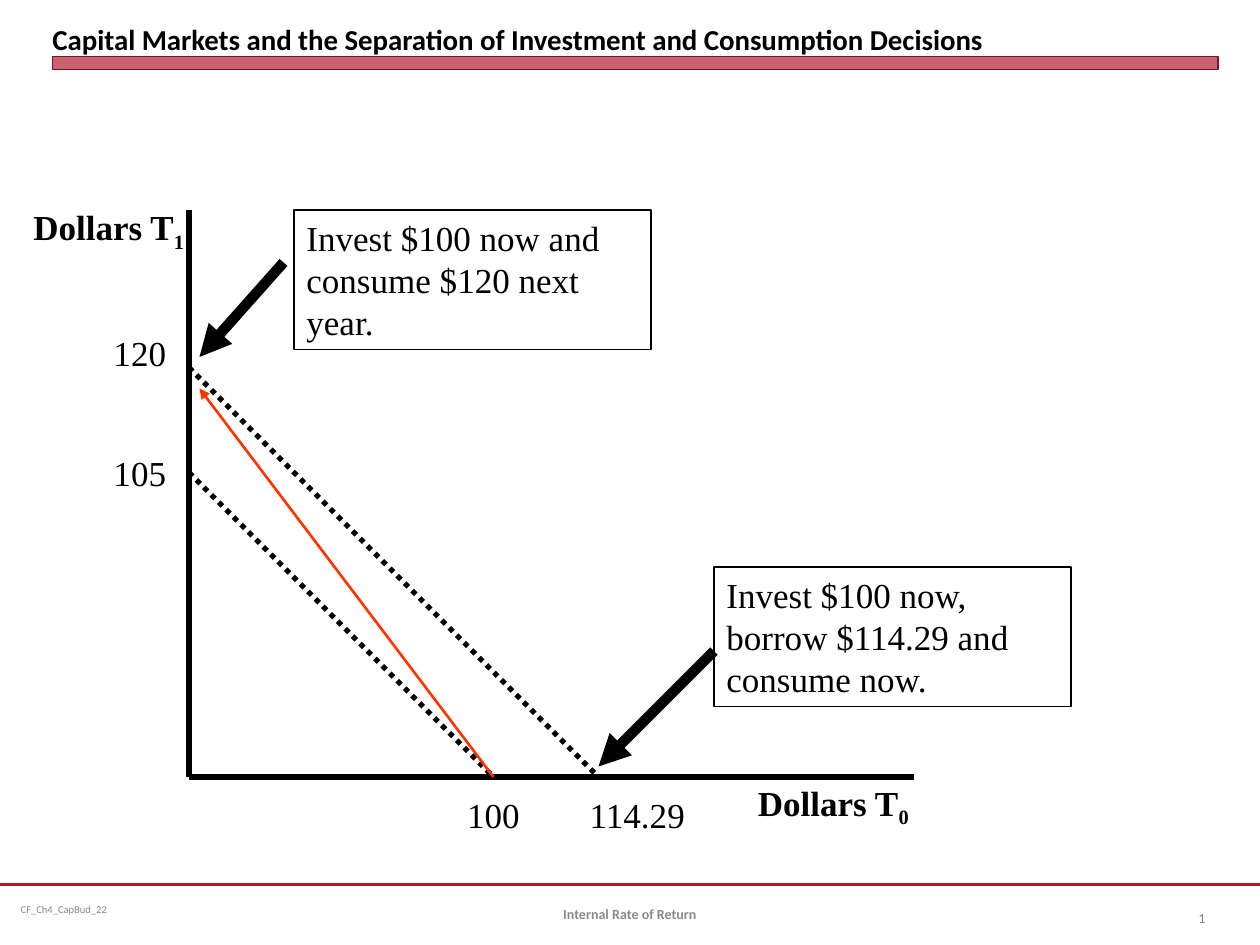
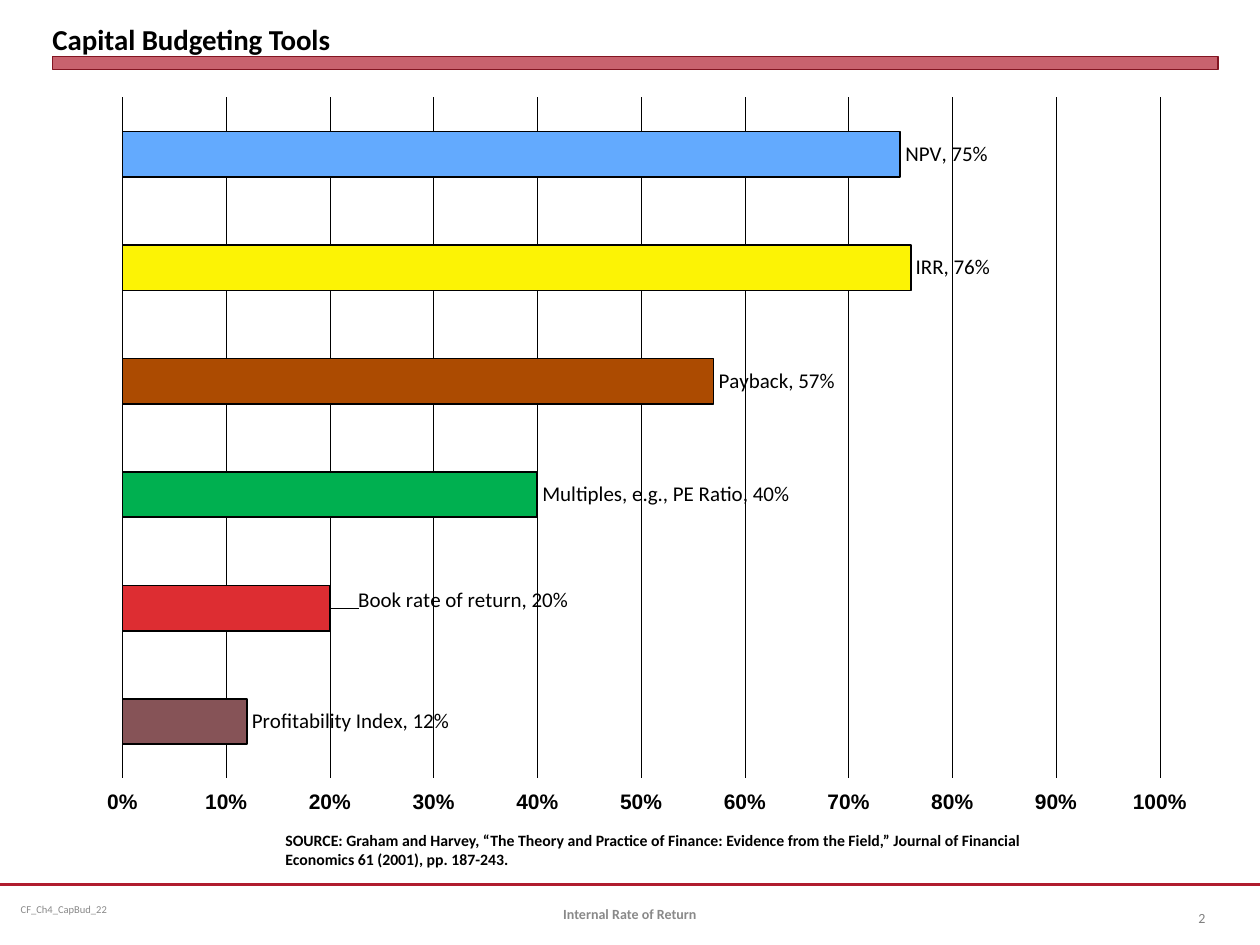
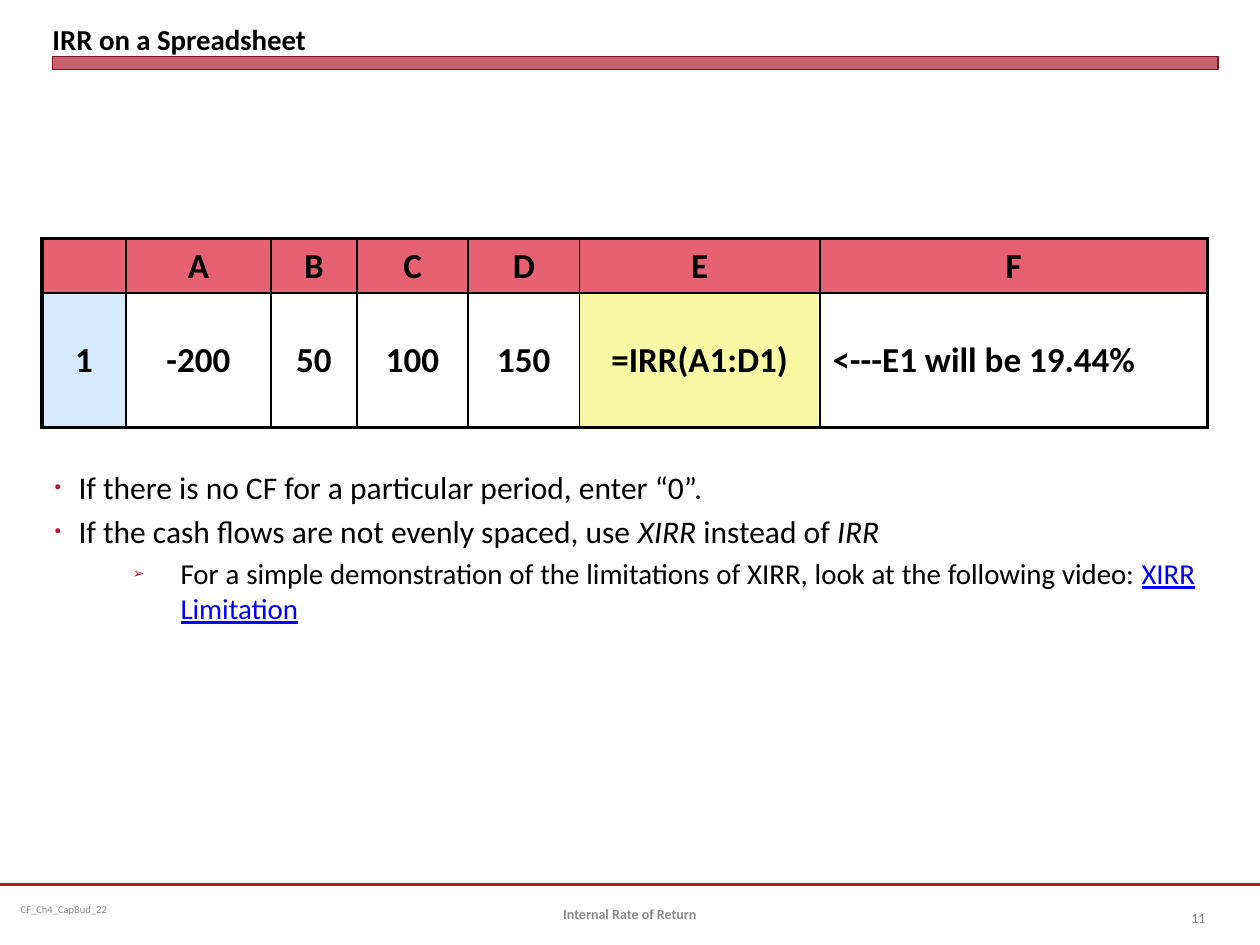
from pptx import Presentation
from pptx import util as u
from pptx.chart import data as cdata
from pptx.dml import color
from pptx.enum import chart as ch, dml, shapes, text
from pptx.oxml import ns, parse_xml

# Grid: 120 columns by 90 rows, twelve to the inch
UNIT = 12
BLACK, WINE, GREY = "000000", "B01C2E", "898989"
SANS, SERIF = "Calibri", "Times New Roman"
LEFT, MID, RIGHT, FULL = (text.PP_ALIGN.LEFT, text.PP_ALIGN.CENTER,
                          text.PP_ALIGN.RIGHT, text.PP_ALIGN.JUSTIFY)
TOP, CENTER, BASE = (text.MSO_ANCHOR.TOP, text.MSO_ANCHOR.MIDDLE,
                     text.MSO_ANCHOR.BOTTOM)


def hue(code):
    return color.RGBColor.from_string(code)


def grid(*vals):
    return [u.Inches(v / UNIT) for v in vals]


def node(tag, attrs="", inner=""):
    """Build one XML element; the prefix is part of the tag."""
    decl = ns.nsdecls("a", "c")
    return parse_xml(f"<{tag} {decl} {attrs}>{inner}</{tag}>")


def place(x, y, w=None, h=None, inner=False):
    """Build a manual chart layout."""
    parts = '<c:layoutTarget val="inner"/>' if inner else ""
    if inner:
        parts += '<c:xMode val="edge"/><c:yMode val="edge"/>'
    for key, val in zip("xywh", (x, y, w, h)):
        if val is not None:
            parts += f'<c:{key} val="{val}"/>'
    return node("c:layout", inner=f"<c:manualLayout>{parts}</c:manualLayout>")


class Deck:
    def __init__(self):
        self.prs = Presentation()
        self.prs.slide_width, self.prs.slide_height = grid(120, 90)
        self.slide = None

    # Text
    def style(self, font, fmt):
        base = dict(name=SANS, size=20, bold=False, italic=False, hue=BLACK)
        for key, val in (base | fmt).items():
            if key == "hue":
                font.color.rgb = hue(val)
            else:
                setattr(font, key, u.Pt(val) if key == "size" else val)

    def say(self, para, runs, fmt, align=LEFT):
        para.alignment = align
        for item in [runs] if isinstance(runs, str) else runs:
            words, extra = (item, {}) if isinstance(item, str) else item
            extra = dict(extra)
            drop = extra.pop("drop", None)
            run = para.add_run()
            run.text = words
            self.style(run.font, fmt | extra)
            if drop:
                run._r.get_or_add_rPr().set("baseline", str(-drop * 1000))

    def frame(self, shape, anchor=TOP, pad=None):
        box = shape.text_frame
        box.word_wrap = True
        box.vertical_anchor = anchor
        if pad is not None:
            for side in ("left", "top", "right", "bottom"):
                setattr(box, f"margin_{side}", u.Inches(pad))
        return box

    def label(self, at, runs, align=LEFT, anchor=TOP, **fmt):
        shape = self.slide.shapes.add_textbox(*grid(*at))
        box = self.frame(shape, anchor)
        self.say(box.paragraphs[0], runs, fmt, align)

    # Shapes
    def rect(self, at, edge, width, fill=None, alpha=None):
        kind = shapes.MSO_SHAPE.RECTANGLE
        shape = self.slide.shapes.add_shape(kind, *grid(*at))
        shape.shadow.inherit = False
        shape.line.color.rgb = hue(edge)
        shape.line.width = u.Pt(width)
        if fill:
            shape.fill.solid()
            shape.fill.fore_color.rgb = hue(fill)
            tint = shape._element.spPr.xpath("a:solidFill/a:srgbClr")[0]
            tint.append(node("a:alpha", f'val="{alpha * 1000}"'))
        else:
            shape.fill.background()
        return shape

    def note(self, at, words):
        box = self.frame(self.rect(at, BLACK, 0.75))
        self.say(box.paragraphs[0], words, dict(name=SERIF))

    def line(self, start, end, width=3, ink=BLACK, dots=False, arrow=False):
        kind = shapes.MSO_CONNECTOR.STRAIGHT
        link = self.slide.shapes.add_connector(kind, *grid(*start, *end))
        link.line.color.rgb = hue(ink)
        link.line.width = u.Pt(width)
        if dots:
            link.line.dash_style = dml.MSO_LINE.ROUND_DOT
        if arrow:
            link.line._get_or_add_ln().append(
                node("a:tailEnd", 'type="triangle"'))
        link._element.spPr.append(node("a:effectLst"))

    # Page with title, band and footer
    def page(self, title, num, body=False):
        layout = self.prs.slide_layouts[1 if body else 5]
        self.slide = self.prs.slides.add_slide(layout)
        head = self.slide.shapes.title
        self.move(head, (5, 0.6, 111, 4.8))
        box = self.frame(head, BASE, 0)
        self.say(box.paragraphs[0], title, dict(size=16.5, bold=True))
        band = self.rect((5, 5.4, 111, 1.2), "821522", 0, WINE, 69)
        self.slide.shapes._spTree.insert(2, band._element)
        self.line((0, 84.25), (120, 84.25), 1.25, WINE)
        self.label((0.8, 84.25, 31, 4.8), "CF_Ch4_CapBud_22",
                   anchor=CENTER, size=6, hue=GREY)
        self.label((41, 84.6, 38, 4.8), "Internal Rate of Return", MID,
                   CENTER, size=8, bold=True, hue=GREY)
        self.label((110, 85, 6, 4.8), num, RIGHT, CENTER,
                   size=8, hue="808080")

    def move(self, shape, at):
        for key, val in zip(("left", "top", "width", "height"), grid(*at)):
            setattr(shape, key, val)

    # Bulleted list in the body placeholder
    def bullets(self, at, items):
        body = self.slide.placeholders[1]
        self.move(body, at)
        box = self.frame(body)
        looks = [("•", 60, 0.19, -0.19, 18), ("➢", 50, 1, -0.38, 16.5)]
        for i, (level, runs) in enumerate(items):
            mark, share, left, hang, size = looks[level]
            para = box.add_paragraph() if i else box.paragraphs[0]
            para.level = level
            prop = para._p.get_or_add_pPr()
            prop.set("marL", str(u.Inches(left)))
            prop.set("indent", str(u.Inches(hang)))
            for part in (
                    node("a:buClr", inner=f'<a:srgbClr val="{WINE}"/>'),
                    node("a:buSzPct", f'val="{share * 1000}"'),
                    node("a:buFont", 'typeface="Arial"'),
                    node("a:buChar", f'char="{mark}"')):
                prop.append(part)
            para.space_before = u.Pt(size * 0.2 if i else 0)
            self.say(para, runs, dict(size=size), FULL)

    # Bar chart with one colour per bar
    def bars(self, at, rows):
        feed = cdata.CategoryChartData(number_format="0%")
        feed.categories = [row[0] for row in rows]
        feed.add_series("Series 1", [row[1] for row in rows])
        kind = ch.XL_CHART_TYPE.BAR_CLUSTERED
        chart = self.slide.shapes.add_chart(kind, *grid(*at), feed).chart
        chart.has_legend = chart.has_title = False
        self.style(chart.font, dict(name="Arial", size=11.5, bold=True))
        plot = chart.plots[0]
        plot.gap_width, plot.vary_by_categories = 150, False
        chart.category_axis.visible = False

        axis = chart.value_axis
        looks = dict(minimum_scale=0, maximum_scale=1, major_unit=0.1,
                     major_tick_mark=ch.XL_TICK_MARK.OUTSIDE,
                     has_major_gridlines=True)
        for key, val in looks.items():
            setattr(axis, key, val)
        axis.format.line.fill.background()
        axis.major_gridlines.format.line.color.rgb = hue(BLACK)
        axis.major_gridlines.format.line.width = u.Pt(0.15)
        axis.tick_labels.number_format = "0%"
        axis.tick_labels.number_format_is_linked = False
        self.style(axis.tick_labels.font,
                   dict(name="Arial", size=12, bold=True))

        series = plot.series[0]
        for i, (name, val, ink, *full) in enumerate(rows):
            point = series.points[i]
            point.format.fill.solid()
            point.format.fill.fore_color.rgb = hue(ink)
            point.format.line.color.rgb = hue(BLACK)
            point.format.line.width = u.Pt(1)
            tag = point.data_label
            para = tag.text_frame.paragraphs[0]
            words = f"{full[0] if full else name}, {val:.0%}"
            self.say(para, words, dict(size=12))
            tag.position = ch.XL_LABEL_POSITION.OUTSIDE_END

        # Plot area, and the one label that is set off its bar
        area = chart._chartSpace.chart.plotArea
        for old in area.xpath("c:layout"):
            area.remove(old)
        area.insert(0, place(0.06, 0.03, 0.89, 0.85, True))
        mark = series._element.xpath('c:dLbls/c:dLbl/c:idx[@val="1"]')[0]
        mark.addnext(place(0.02, -0.01))

    # Table with thick outer and thin inner borders
    def table(self, at, cols, highs, rows, fills):
        tall, wide = len(rows), len(cols)
        grate = self.slide.shapes.add_table(tall, wide, *grid(*at)).table
        grate.first_row = grate.horz_banding = False
        for col, width in zip(grate.columns, grid(*cols)):
            col.width = width
        for row, high in zip(grate.rows, grid(*highs)):
            row.height = high
        for r, row in enumerate(rows):
            for c, words in enumerate(row):
                cell = grate.cell(r, c)
                cell.vertical_anchor = CENTER
                if words:
                    side = LEFT if words.startswith("<") else MID
                    self.say(cell.text_frame.paragraphs[0], words,
                             dict(bold=True), side)
                if fills[r][c]:
                    cell.fill.solid()
                    cell.fill.fore_color.rgb = hue(fills[r][c])
                else:
                    cell.fill.background()
                outer = dict(L=c == 0, R=c == wide - 1,
                             T=r == 0, B=r == tall - 1)
                prop = cell._tc.get_or_add_tcPr()
                ink = f'<a:solidFill><a:srgbClr val="{BLACK}"/></a:solidFill>'
                for i, (edge, thick) in enumerate(outer.items()):
                    size = u.Pt(2.25 if thick else 1)
                    prop.insert(i, node(f"a:ln{edge}", f'w="{size}"', ink))


def market(deck):
    deck.page("Capital Markets and the Separation of Investment and "
              "Consumption Decisions", "1")
    # Axes and their names
    origin = (18, 74)
    deck.line((18, 20), origin)
    deck.line(origin, (87, 74))
    for at, sub in (((2, 19, 18, 5.2), "1"), ((71, 73.8, 20, 5.2), "0")):
        deck.label(at, ["Dollars T", (sub, dict(drop=25))],
                   name=SERIF, bold=True)
    # Values on the axes
    for top, words in ((31, "120"), (42.4, "105")):
        deck.label((5, top, 12, 5.2), words, RIGHT, name=SERIF)
    for mid, words in ((47, "100"), (60.7, "114.29")):
        deck.label((mid - 6, 75, 12, 5.2), words, MID, name=SERIF)
    # Budget lines and the move between them
    for high, far in ((45, 47), (35, 57)):
        deck.line((18, high), (far, 74), dots=True)
    deck.line((47, 74), (19, 37), 1.5, "FF3300", arrow=True)
    # Notes and their arrows
    deck.note((28, 20, 34, 13.3),
              "Invest $100 now and consume $120 next year.")
    deck.note((68, 54, 34, 13.3),
              "Invest $100 now, borrow $114.29 and consume now.")
    deck.line((27, 25), (19, 34), 6, arrow=True)
    deck.line((68, 62), (57, 73), 6, arrow=True)


def tools(deck):
    deck.page("Capital Budgeting Tools", "2")
    deck.bars((5, 7, 111, 76.3), [
        ("Profitability Index", 0.12, "865357"),
        ("Book rate of return", 0.2, "DD2D32"),
        ("PE Ratio", 0.4, "00B050", "Multiples, e.g., PE Ratio"),
        ("Payback", 0.57, "AC4B01"),
        ("IRR", 0.76, "FCF305"),
        ("NPV", 0.75, "63AAFE")])
    deck.label((26, 78.5, 78, 4.8),
               "SOURCE: Graham and Harvey, “The Theory and Practice of "
               "Finance: Evidence from the Field,” Journal of Financial "
               "Economics 61 (2001), pp. 187-243.", size=9, bold=True)


def sheet(deck):
    deck.page("IRR on a Spreadsheet", "11", body=True)
    deck.table(
        (4, 22.7, 111, 18), (8, 13.8, 8.2, 10.6, 10.6, 22.9, 36.9),
        (5.2, 12.8),
        [["", *"ABCDEF"],
         ["1", "-200", "50", "100", "150", "=IRR(A1:D1)",
          "<---E1 will be 19.44%"]],
        [["E66171"] * 7,
         ["D6EAFF", *[None] * 4, "F7F9A5", None]])
    slant = dict(italic=True)
    deck.bullets((4, 44, 111, 33), [
        (0, "If there is no CF for a particular period, enter “0”."),
        (0, ["If the cash flows are not evenly spaced, use ",
             ("XIRR", slant), " instead of ", ("IRR", slant)]),
        (1, ["For a simple demonstration of the limitations of XIRR, "
             "look at the following video: ",
             ("XIRR Limitation", dict(hue="0000FF", underline=True))])])


def main():
    deck = Deck()
    for build in (market, tools, sheet):
        build(deck)
    deck.prs.save("out.pptx")


if __name__ == "__main__":
    main()
